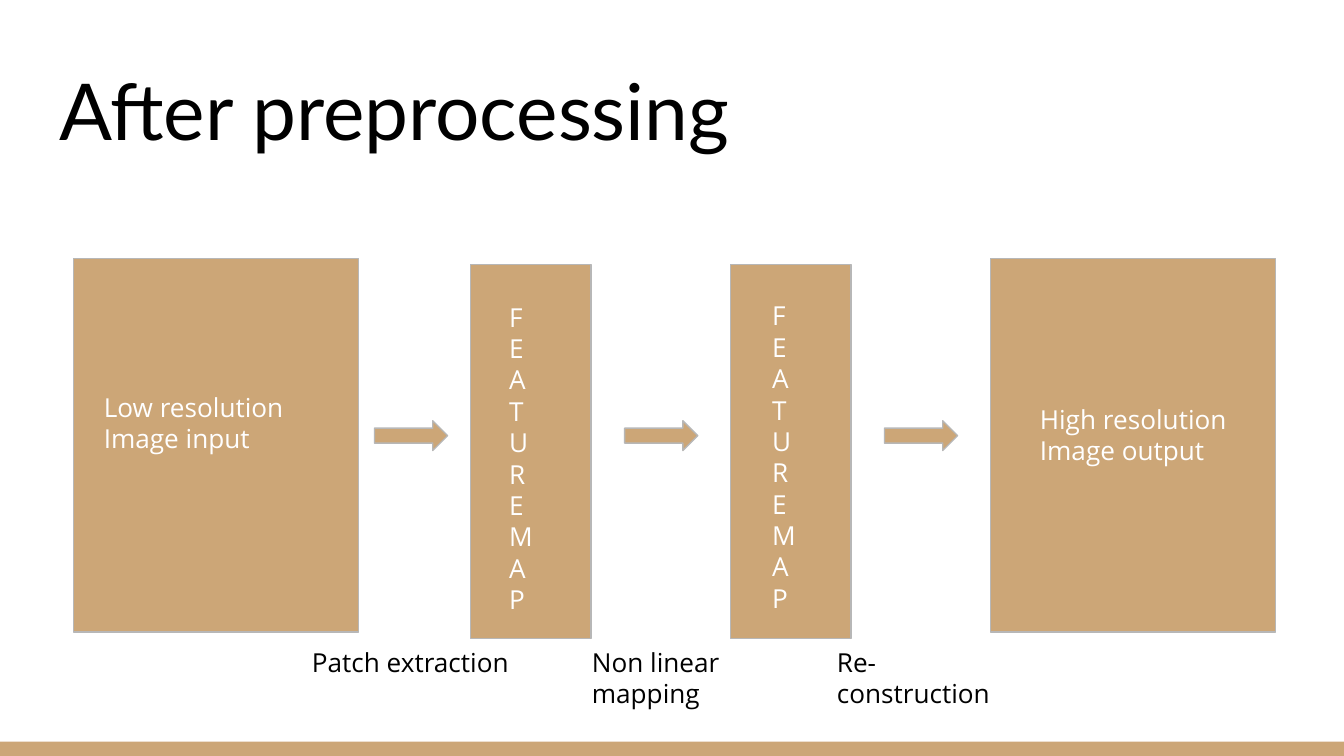
from pptx import Presentation
from pptx.dml.color import RGBColor
from pptx.enum.shapes import MSO_SHAPE
from pptx.enum.text import MSO_ANCHOR, MSO_AUTO_SIZE, PP_ALIGN
from pptx.util import Pt

RECTANGLE = MSO_SHAPE.RECTANGLE
RIGHT_ARROW = MSO_SHAPE.RIGHT_ARROW
TOP, BOTTOM = MSO_ANCHOR.TOP, MSO_ANCHOR.BOTTOM
LEFT = PP_ALIGN.LEFT
NO_AUTOFIT = MSO_AUTO_SIZE.NONE

TAN = RGBColor(0xCC, 0xA6, 0x77)
GRAY = RGBColor(0xB7, 0xB7, 0xB7)
WHITE = RGBColor(0xFF, 0xFF, 0xFF)
BLACK = RGBColor(0x00, 0x00, 0x00)

WIDTH, HEIGHT = 720, 405
TITLE_ONLY_LAYOUT = 5


def write_text(shape, text, font="Open Sans", size=14, color=BLACK, anchor=TOP):
    """Fill a shape with text, one paragraph for each line."""
    frame = shape.text_frame
    frame.word_wrap = True
    frame.auto_size = NO_AUTOFIT
    frame.vertical_anchor = anchor
    frame.margin_left = frame.margin_right = Pt(7.2)
    frame.margin_top = frame.margin_bottom = Pt(7.2)
    frame.text = text
    for paragraph in frame.paragraphs:
        paragraph.alignment = LEFT
        paragraph.font.name = font
        paragraph.font.size = Pt(size)
        paragraph.font.color.rgb = color


class SlideBuilder:
    """Holds the diagram style and the slide being built."""

    fill = TAN
    outline = GRAY
    outline_width = 0.75

    def __init__(self, slide):
        self.slide = slide

    def title(self, text, left, top, width, height):
        shape = self.slide.shapes.title
        shape.left, shape.top = Pt(left), Pt(top)
        shape.width, shape.height = Pt(width), Pt(height)
        write_text(shape, text, font="Lato", size=42, anchor=BOTTOM)

    def block(self, left, top, width, height, kind=RECTANGLE, outlined=True):
        shape = self.slide.shapes.add_shape(
            kind, Pt(left), Pt(top), Pt(width), Pt(height))
        shape.shadow.inherit = False
        shape.fill.solid()
        shape.fill.fore_color.rgb = self.fill
        if outlined:
            shape.line.color.rgb = self.outline
            shape.line.width = Pt(self.outline_width)
        else:
            shape.line.fill.background()

    def arrow(self, left, top):
        self.block(left, top, 39.2, 16, kind=RIGHT_ARROW)

    def label(self, text, left, top, width, height, color=BLACK):
        box = self.slide.shapes.add_textbox(
            Pt(left), Pt(top), Pt(width), Pt(height))
        write_text(box, text, color=color)


def main():
    presentation = Presentation()
    presentation.slide_width, presentation.slide_height = Pt(WIDTH), Pt(HEIGHT)
    layout = presentation.slide_layouts[TITLE_ONLY_LAYOUT]
    builder = SlideBuilder(presentation.slides.add_slide(layout))

    # Bottom band and title
    builder.block(0, 397.3, WIDTH, HEIGHT - 397.3, outlined=False)
    builder.title("After preprocessing", 24.5, 25.5, 671, 65.3)

    # Input and output images
    for left in (39.5, 530.6):
        builder.block(left, 138.5, 152.8, 200.2)

    # Feature maps
    for left in (252.2, 391.5):
        builder.block(left, 141.8, 64.4, 200.2)

    # Arrows between the stages
    for left in (200.6, 334.6, 473.8):
        builder.arrow(left, 225.4)

    # Labels inside the blocks
    feature_map = "\n".join("FEATUREMAP")
    for text, left, top, width, height in (
        ("Low resolution\nImage input", 48.5, 202.3, 135.4, 104.4),
        ("High resolution\nImage output", 550, 208.8, 116, 57.6),
        (feature_map, 265.6, 154.1, 35.3, 169.2),
        (feature_map, 406.5, 153.4, 34.6, 159.8),
    ):
        builder.label(text, left, top, width, height, color=WHITE)

    # Step names below the blocks
    for text, left, width, height in (
        ("Patch extraction", 160, 175, 22.3),
        ("Non linear mapping", 310, 100, 22.3),
        ("Re-\nconstruction", 441.2, 98, 37.4),
    ):
        builder.label(text, left, 338.9, width, height)

    presentation.save("out.pptx")


if __name__ == "__main__":
    main()
